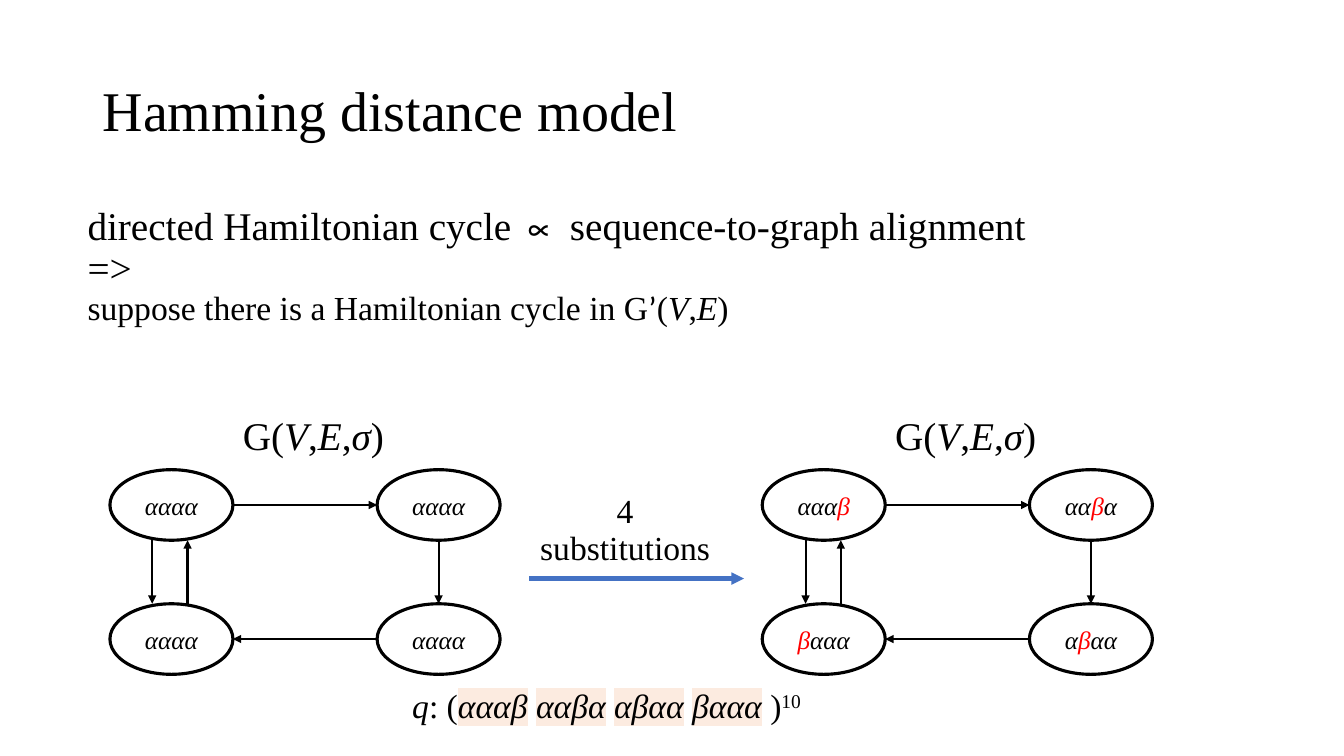
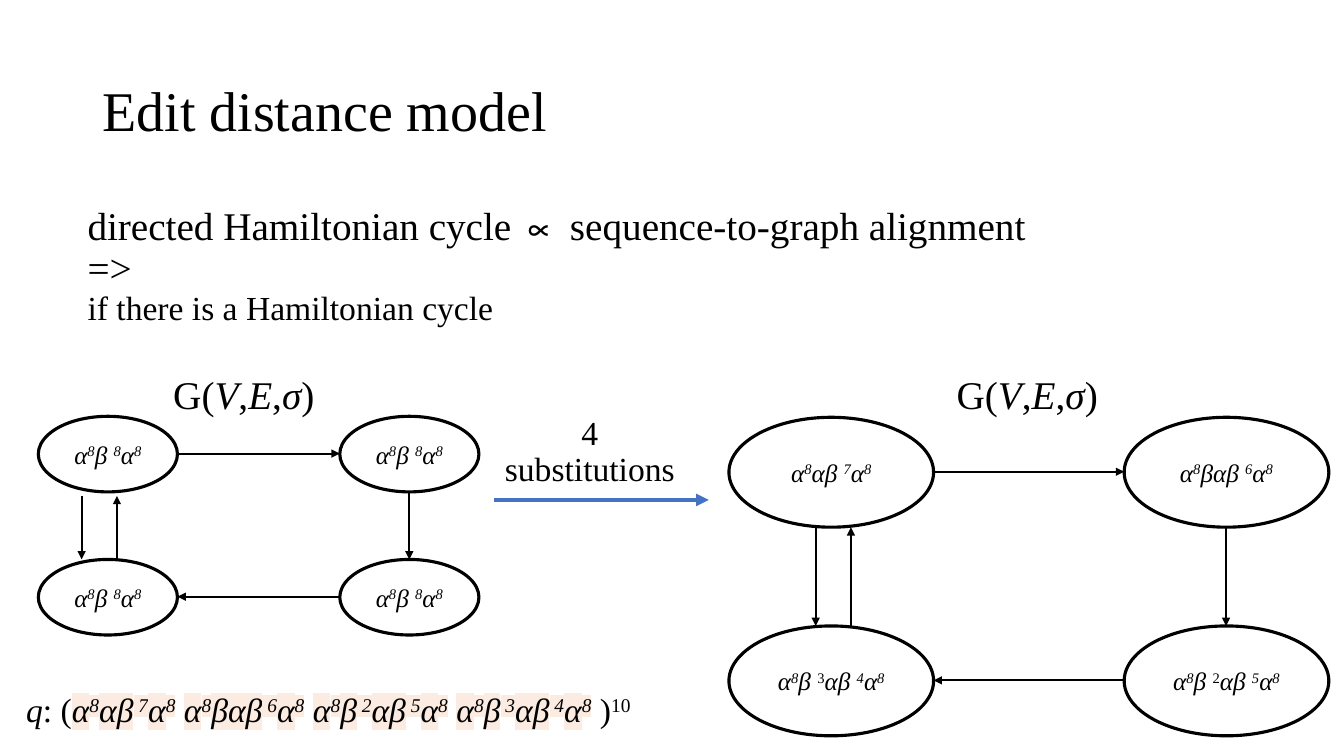
import lxml.etree
import pptx
import pptx.dml.color
import pptx.enum.shapes
import pptx.enum.text
import pptx.oxml.ns
import pptx.util

EMU_PER_PX = 9144
SERIF = "Times New Roman"
SANS = "Calibri"
COLORS = {
    "ink": "000000",
    "paper": "FFFFFF",
    "changed": "FF0000",
    "matched": "FCEBE0",
    "step": "4472C4",
}
ITALIC, RAISED, CHANGED, MATCHED, SANS_MARK = "*^!~`"
MARKS = {ITALIC, RAISED, CHANGED, MATCHED, SANS_MARK}
ALIGN = pptx.enum.text.PP_ALIGN
ANCHOR = pptx.enum.text.MSO_ANCHOR
GRAPH_NAME = "G(*V*,*E*,*σ*)"
REDUCTION = "directed Hamiltonian cycle ∝ sequence-to-graph alignment"


def px(*lengths):
    return [pptx.util.Emu(length * EMU_PER_PX) for length in lengths]


def color(name):
    return pptx.dml.color.RGBColor.from_string(COLORS[name])


def add_child(parent, tag, **attributes):
    return lxml.etree.SubElement(parent, pptx.oxml.ns.qn(tag), **attributes)


def split_runs(markup):
    active, words = frozenset(), ""
    for char in markup:
        if char in MARKS:
            if words:
                yield words, active
            active, words = active ^ {char}, ""
        else:
            words += char
    if words:
        yield words, active


def highlight(properties):
    marker = lxml.etree.Element(pptx.oxml.ns.qn("a:highlight"))
    add_child(marker, "a:srgbClr", val=COLORS["matched"])
    properties.find(pptx.oxml.ns.qn("a:solidFill")).addnext(marker)


def write_text(shape, *lines, size=24, align=ALIGN.LEFT, anchor=ANCHOR.TOP, spacing=0.9):
    frame = shape.text_frame
    frame.word_wrap = True
    frame.vertical_anchor = anchor
    for index, line in enumerate(lines):
        markup, line_size = line if isinstance(line, tuple) else (line, size)
        paragraph = frame.add_paragraph() if index else frame.paragraphs[0]
        paragraph.alignment = align
        paragraph.line_spacing = spacing
        for words, active in split_runs(markup):
            run = paragraph.add_run()
            run.text = words
            run.font.size = pptx.util.Pt(line_size)
            run.font.name = SANS if SANS_MARK in active else SERIF
            run.font.italic = ITALIC in active
            run.font.color.rgb = color("changed" if CHANGED in active else "ink")
            properties = run.font._element
            if RAISED in active:
                properties.set("baseline", "30000")
            if MATCHED in active:
                highlight(properties)


def add_text(shapes, box, *lines, **formatting):
    write_text(shapes.add_textbox(*px(*box)), *lines, **formatting)


def add_arrow(shapes, start, end, ink="ink", width=1.5):
    arrow = shapes.add_connector(
        pptx.enum.shapes.MSO_CONNECTOR.STRAIGHT, *px(*start, *end))
    arrow.line.color.rgb = color(ink)
    arrow.line.width = pptx.util.Pt(width)
    add_child(arrow.line._get_or_add_ln(), "a:tailEnd", type="triangle")
    add_child(arrow._element.spPr, "a:effectLst")


def add_node(shapes, box, label):
    node = shapes.add_shape(pptx.enum.shapes.MSO_SHAPE.OVAL, *px(*box))
    node.shadow.inherit = False
    node.fill.solid()
    node.fill.fore_color.rgb = color("paper")
    node.line.color.rgb = color("ink")
    node.line.width = pptx.util.Pt(2.25)
    write_text(node, label, size=18, align=ALIGN.CENTER,
               anchor=ANCHOR.MIDDLE, spacing=1.0)


def add_graph(slide, origin, node_size, pitch, labels, name_at, pair_x, pair_gap=0):
    shapes = slide.shapes.add_group_shape().shapes
    left, top = origin
    width, height = node_size
    right, bottom = left + pitch[0], top + pitch[1]
    for y, row in zip((top, bottom), labels):
        for x, label in zip((left, right), row):
            add_node(shapes, (x, y, width, height), label)

    top_middle, bottom_middle = top + height // 2, bottom + height // 2
    right_middle = right + width // 2
    pair_top = top + height + pair_gap
    down_x, up_x = pair_x, pair_x + 35
    edges = [
        ((left + width, top_middle), (right, top_middle)),
        ((right_middle, top + height), (right_middle, bottom)),
        ((right, bottom_middle), (left + width, bottom_middle)),
        ((down_x, pair_top), (down_x, bottom)),
        ((up_x, bottom), (up_x, pair_top)),
    ]
    for start, end in edges:
        add_arrow(shapes, start, end)
    add_text(shapes, (*name_at, 177, 59), GRAPH_NAME, size=28)


def add_substitutions(slide, left, top):
    add_text(slide.shapes, (left, top, 198, 74), "4 substitutions", align=ALIGN.CENTER)
    add_arrow(slide.shapes, (left + 4, top + 88), (left + 217, top + 88),
              ink="step", width=3)


def add_query(slide, box, words):
    marked = " ".join(f"~{word}~" for word in words)
    add_text(slide.shapes, box, f"*q*: (*{marked} *)^10^")


def add_model_slide(deck, title, premise):
    slide = deck.slides.add_slide(deck.slide_layouts[6])
    add_text(slide.shapes, (92, 40, 1150, 145), title, size=40, anchor=ANCHOR.MIDDLE)
    add_text(slide.shapes, (77, 200, 1150, 140),
             (REDUCTION, 28), ("=>", 28), (premise, 24))
    return slide


def add_hamming_slide(deck):
    slide = add_model_slide(deck, "Hamming distance model",
                            "suppose there is a Hamiltonian cycle in G`’`(*V*,*E*)")
    layout = {"node_size": (122, 70), "pitch": (265, 133)}
    add_graph(slide, (109, 466), labels=[["*αααα*"] * 2] * 2,
              name_at=(231, 408), pair_x=151, **layout)
    add_graph(slide, (756, 466),
              labels=[["*ααα!β!*", "*αα!β!α*"], ["*!β!ααα*", "*α!β!αα*"]],
              name_at=(878, 408), pair_x=799, **layout)
    add_substitutions(slide, 521, 486)
    add_query(slide, (399, 679, 521, 51), ["αααβ", "ααβα", "αβαα", "βααα"])


def add_edit_slide(deck):
    slide = add_model_slide(deck, "Edit distance model",
                            "if there is a Hamiltonian cycle")
    add_graph(slide, (38, 413), (138, 75), (299, 142),
              [["*α^8^β ^8^α^8^*"] * 2] * 2,
              name_at=(162, 368), pair_x=81, pair_gap=4)
    add_graph(slide, (723, 414), (203, 109), (392, 207),
              [["*α^8^αβ ^7^α^8^*", "*α^8^βαβ ^6^α^8^*"],
               ["*α^8^β *^3^*αβ ^4^α^8^*", "*α^8^β *^2^*αβ ^5^α^8^*"]],
              name_at=(939, 368), pair_x=809)
    add_substitutions(slide, 486, 408)
    add_query(slide, (16, 683, 721, 51),
              ["α^8^αβ^ 7^α^8^", "α^8^βαβ^ 6^α^8^",
               "α^8^β^ 2^αβ^ 5^α^8^", "α^8^β^ 3^αβ^ 4^α^8^"])


def main():
    deck = pptx.Presentation()
    deck.slide_width, deck.slide_height = px(1333, 750)
    add_hamming_slide(deck)
    add_edit_slide(deck)
    deck.save("out.pptx")


if __name__ == "__main__":
    main()
